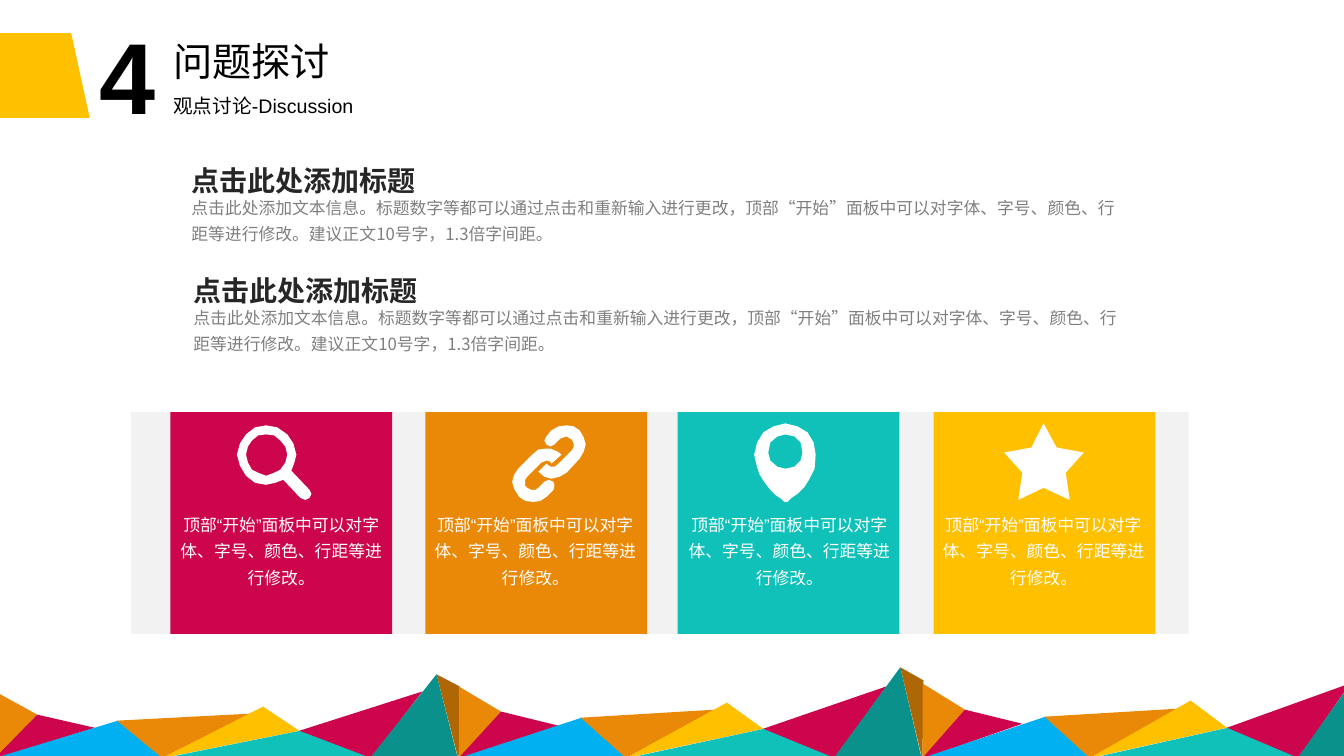
from lxml import etree
from pptx import Presentation
from pptx.dml.color import RGBColor
from pptx.enum import shapes, text
from pptx.oxml import ns

PX = 9144  # EMU in one px, 100 px to the inch

BLACK = RGBColor(0x00, 0x00, 0x00)
WHITE = RGBColor(0xFF, 0xFF, 0xFF)
DARK = RGBColor(0x26, 0x26, 0x26)
GREY = RGBColor(0x7F, 0x7F, 0x7F)
PALE = RGBColor(0xF2, 0xF2, 0xF2)
CRIMSON = RGBColor(0xCD, 0x05, 0x4C)
ORANGE = RGBColor(0xEA, 0x89, 0x08)
BROWN = RGBColor(0xAF, 0x67, 0x06)
TEAL = RGBColor(0x0F, 0xC1, 0xB9)
DEEP_TEAL = RGBColor(0x0B, 0x91, 0x8B)
YELLOW = RGBColor(0xFF, 0xC0, 0x00)
BLUE = RGBColor(0x00, 0xB0, 0xF0)
LATIN, CHINESE = "Arial", "Noto Sans CJK SC"

# Content
HEADER = [  # wording, left, top, width, height, size, bold
    ("4", 89, 9, 146, 131, 72, True),
    ("问题探讨", 162, 32, 179, 57, 28, False),
    ("观点讨论-Discussion", 162, 88, 298, 34, 14, False),
]
POINT_TITLE = "点击此处添加标题"
POINT_BODY = ("点击此处添加文本信息。标题数字等都可以通过点击和重新输入进行更改，"
              "顶部“开始”面板中可以对字体、字号、颜色、行距等进行修改。"
              "建议正文10号字，1.3倍字间距。")
POINTS = [(180, 141, 951), (182, 250, 939)]  # left, top, body width
CARD_TEXT = "顶部“开始”面板中可以对字体、字号、颜色、行距等进行修改。"
CARD_TOP, CARD_SIDE, CARD_TEXT_STEP = 409, 220, 252

# Icons: closed outlines, the later ones cut holes or stand apart
MAGNIFIER = [
    [(264, 422), (275, 424), (285, 431), (291, 440), (294, 451), (292, 459),
     (289, 467), (307, 486), (309, 490), (307, 494), (303, 496), (298, 494),
     (281, 476), (273, 479), (264, 481), (253, 479), (244, 472), (238, 462),
     (235, 451), (238, 440), (244, 431), (253, 424)],
    [(264, 431), (256, 432), (250, 437), (246, 443), (244, 451), (246, 459),
     (250, 466), (256, 469), (264, 472), (272, 469), (278, 466), (283, 459),
     (285, 451), (283, 443), (278, 437), (272, 432)],
]
CHAIN = [
    [(542, 445), (546, 445), (553, 448), (557, 451), (547, 460), (546, 458),
     (542, 457), (537, 459), (523, 473), (521, 476), (521, 482), (523, 484),
     (527, 486), (531, 486), (534, 484), (540, 478), (544, 476), (549, 478),
     (550, 482), (549, 486), (542, 493), (536, 497), (529, 498), (521, 497),
     (515, 493), (510, 485), (508, 478), (510, 471), (514, 465), (528, 451),
     (534, 446)],
    [(562, 422), (569, 423), (575, 427), (579, 434), (581, 441), (579, 448),
     (575, 455), (562, 469), (555, 473), (547, 475), (540, 473), (534, 468),
     (542, 460), (546, 463), (550, 463), (553, 461), (567, 447), (569, 444),
     (569, 440), (567, 436), (562, 433), (556, 435), (550, 441), (546, 443),
     (542, 441), (540, 437), (542, 433), (547, 427), (554, 423)],
]
MAP_PIN = [
    [(779, 420), (791, 423), (801, 429), (807, 439), (809, 451), (808, 465),
     (803, 475), (798, 483), (791, 490), (785, 494), (781, 498), (778, 498),
     (775, 495), (769, 491), (764, 486), (758, 478), (753, 470), (750, 460),
     (748, 451), (751, 439), (757, 429), (767, 423)],
    [(779, 431), (771, 433), (764, 439), (762, 449), (764, 457), (771, 463),
     (779, 465), (788, 463), (794, 457), (796, 449), (794, 439), (788, 433)],
]
STAR = [[(1035, 420), (1048, 444), (1075, 449), (1057, 469), (1061, 496),
         (1035, 484), (1010, 496), (1014, 469), (996, 449), (1023, 444)]]
CARDS = [(169, CRIMSON, MAGNIFIER), (422, ORANGE, CHAIN),
         (672, TEAL, MAP_PIN), (926, YELLOW, STAR)]

# Mountain range: facets as (x, height above the base), back to front
FACETS = [
    (ORANGE, [(-5, -1), (-5, 66), (37, 43)]),
    (CRIMSON, [(-6, -1), (37, 43), (94, 30)]),
    (BLUE, [(-5, 0), (117, 37), (163, 0)]),
    (ORANGE, [(116, 37), (249, 44), (161, 0)]),
    (YELLOW, [(297, 27), (161, 0), (261, 51)]),
    (TEAL, [(370, 0), (163, 0), (298, 27)]),
    (CRIMSON, [(368, 0), (297, 27), (419, 66)]),
    (DEEP_TEAL, [(454, 0), (367, 0), (433, 83)]),
    (BROWN, [(456, 71), (455, -2), (433, 83)]),
]
RANGE_BASE, RANGE_STEP = 752, 460
RANGE_STRETCH = [1, 1.08, 1.12]

deck = Presentation()
deck.slide_width, deck.slide_height = 1333 * PX, 750 * PX
page = deck.slides.add_slide(deck.slide_layouts[6])


def paint(shape, color):
    shape.shadow.inherit = False
    shape.fill.solid()
    shape.fill.fore_color.rgb = color
    shape.line.fill.background()


def add_block(kind, left, top, width, height, color):
    block = page.shapes.add_shape(kind, left * PX, top * PX, width * PX, height * PX)
    paint(block, color)
    return block


def add_outline(contours, color):
    first, *others = contours
    builder = page.shapes.build_freeform(*first[0], scale=PX)
    builder.add_line_segments(first[1:], close=True)
    for contour in others:
        builder.move_to(*contour[0])
        builder.add_line_segments(contour[1:], close=True)
    paint(builder.convert_to_shape(), color)


def add_words(words, left, top, width, height, size, color, font=LATIN,
              bold=False, spacing=None, align=None, wrap=True):
    box = page.shapes.add_textbox(left * PX, top * PX, width * PX, height * PX)
    box.text_frame.word_wrap = wrap
    para = box.text_frame.paragraphs[0]
    para.text = words
    para.line_spacing = spacing
    para.alignment = align
    para.font.size = size * 12700
    para.font.bold = bold
    para.font.color.rgb = color
    para.font.name = font
    # East Asian letters need their own typeface
    defaults = para._p.pPr.find(ns.qn("a:defRPr"))
    etree.SubElement(defaults, ns.qn("a:ea")).set("typeface", font)


# Mountains along the foot
for index, stretch in enumerate(RANGE_STRETCH):
    for color, corners in FACETS:
        facet = [(x + index * RANGE_STEP, round(RANGE_BASE - height * stretch))
                 for x, height in corners]
        if min(x for x, y in facet) < 1333:
            add_outline([facet], color)

# Header
tab = add_block(shapes.MSO_SHAPE.FLOWCHART_MANUAL_INPUT, 1, 29, 84, 92, YELLOW)
tab.rotation = 90
for words, left, top, width, height, size, bold in HEADER:
    add_words(words, left, top, width, height, size, BLACK, bold=bold)

# Two points
for left, top, width in POINTS:
    add_words(POINT_BODY, left, top + 44, width, 63, 12, GREY, CHINESE, spacing=1.3)
    add_words(POINT_TITLE, left, top, 245, 61, 20, DARK, CHINESE, bold=True,
              spacing=1.5, wrap=False)

# Cards on a pale band
add_block(shapes.MSO_SHAPE.RECTANGLE, 130, CARD_TOP, 1049, CARD_SIDE, PALE)
for index, (left, color, icon) in enumerate(CARDS):
    add_block(shapes.MSO_SHAPE.RECTANGLE, left, CARD_TOP, CARD_SIDE, CARD_SIDE, color)
    add_words(CARD_TEXT, CARDS[0][0] + index * CARD_TEXT_STEP, 500, CARD_SIDE, 89,
              12, WHITE, spacing=1.3, align=text.PP_ALIGN.CENTER)
    add_outline(icon, WHITE)

deck.save("out.pptx")
